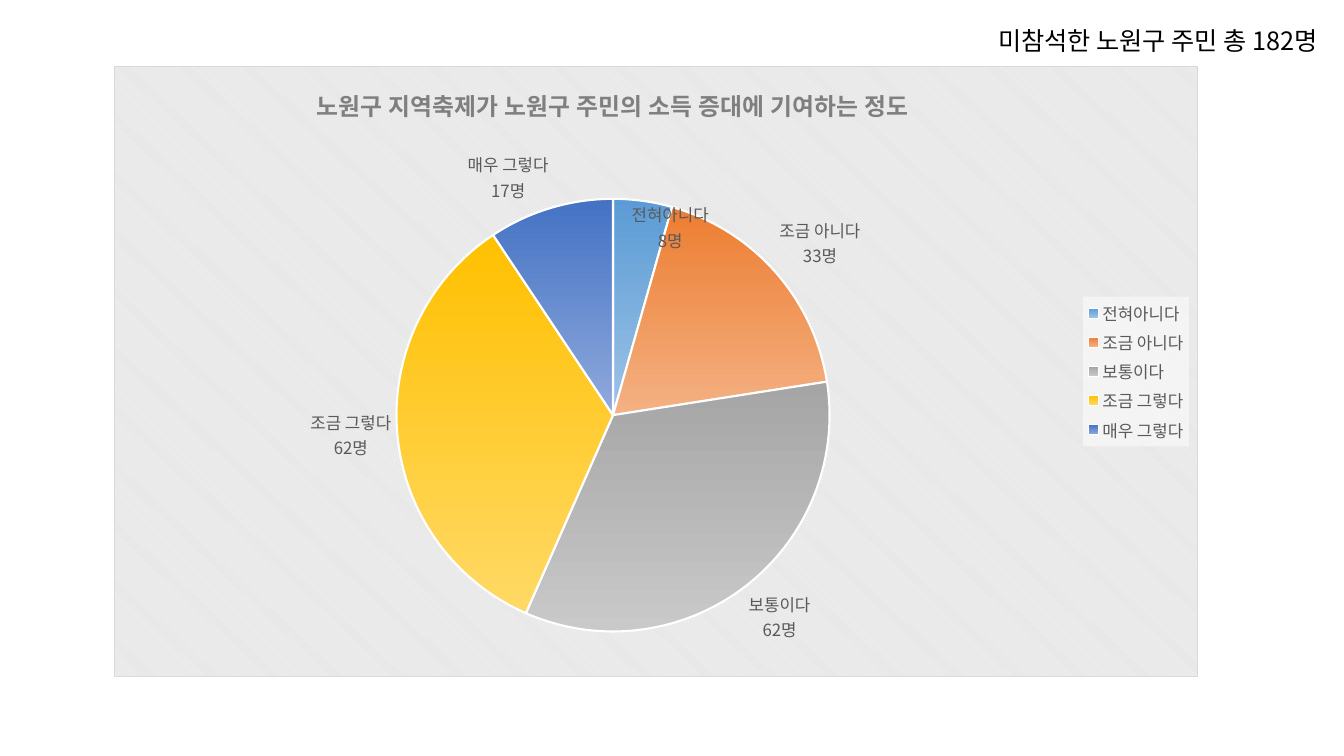
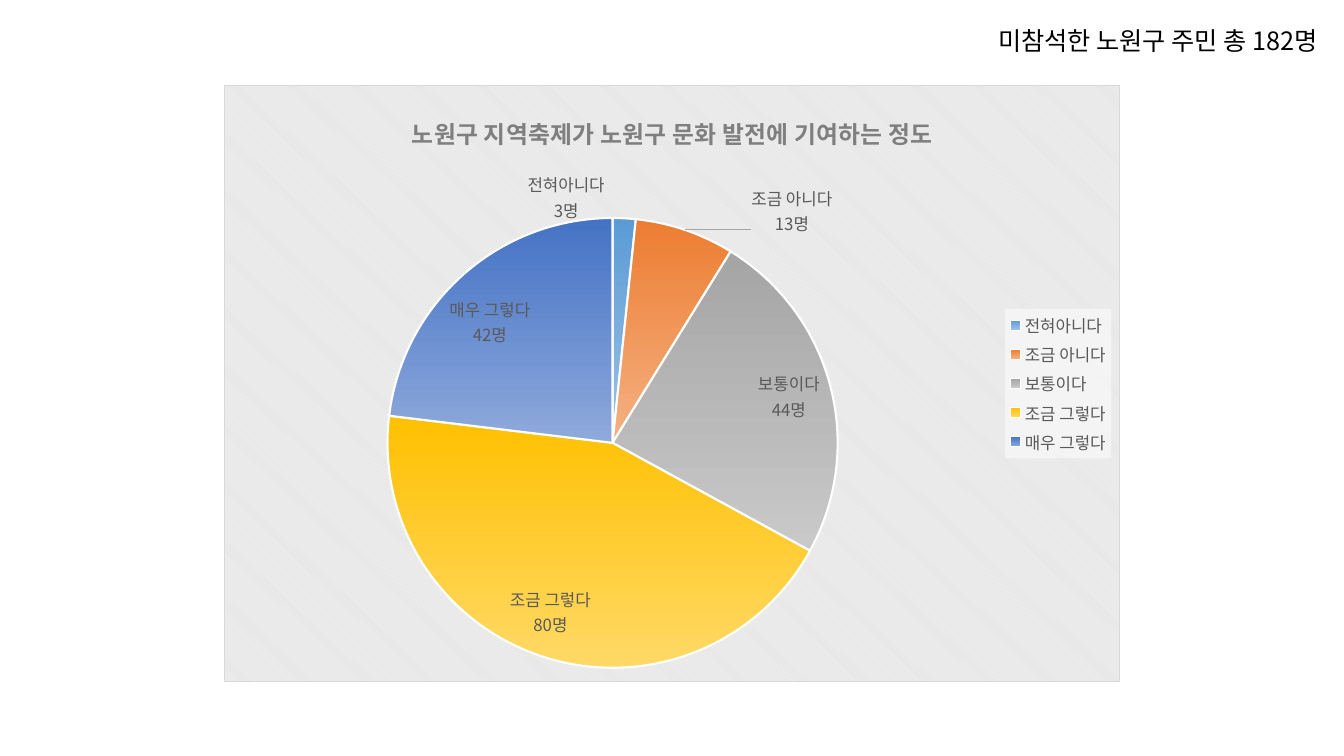
from dataclasses import dataclass

from lxml import etree
from pptx import Presentation
from pptx.chart.data import CategoryChartData
from pptx.dml.color import RGBColor as RGB
from pptx.enum.chart import XL_CHART_TYPE as ChartType
from pptx.enum.chart import XL_LABEL_POSITION as LabelPos
from pptx.enum.chart import XL_LEGEND_POSITION as LegendPos
from pptx.enum.text import MSO_AUTO_SIZE as AutoSize
from pptx.oxml import parse_xml
from pptx.oxml.ns import nsdecls, qn
from pptx.util import Inches, Pt


@dataclass(frozen=True)
class Theme:
    font: str = "Noto Sans CJK KR"
    black: str = "000000"
    white: str = "FFFFFF"
    title: str = "7F7F7F"
    label: str = "595959"
    border: str = "D9D9D9"
    leader: str = "A6A6A6"
    stripe: str = "E6E6E6"
    slices: tuple = (("5B9BD5", "9DC3E6"), ("ED7D31", "F4B183"), ("A5A5A5", "C9C9C9"),
                     ("FFC000", "FFD966"), ("4472C4", "8FAADC"))
    note_size: int = 18
    title_size: int = 17
    label_size: int = 12
    base_size: int = 10


T = Theme()
NOTE = "미참석한 노원구 주민 총 182명"
ANSWERS = ("전혀아니다", "조금 아니다", "보통이다", "조금 그렇다", "매우 그렇다")


@dataclass(frozen=True)
class Survey:
    title: str
    values: tuple
    frame: tuple        # left, top, width, height
    title_at: tuple     # left, top on the slide
    pie: tuple          # left, top, diameter on the slide
    label_pos: LabelPos
    label_shifts: dict  # answer index: (right, down)


SURVEYS = (
    Survey("노원구 지역축제가 노원구 주민의 소득 증대에 기여하는 정도", (8, 33, 62, 62, 17),
           (1.13, 0.65, 10.75, 6.07), (3.09, 0.79), (3.93, 1.97, 4.3),
           LabelPos.OUTSIDE_END, {0: (-0.12, 0.57)}),
    Survey("노원구 지역축제가 노원구 문화 발전에 기여하는 정도", (3, 13, 44, 80, 42),
           (2.22, 0.84, 8.89, 5.93), (4.04, 1.07), (3.84, 2.16, 4.47),
           LabelPos.BEST_FIT, {0: (-0.58, 0.1), 1: (0.64, 0.11)}),
)


def style_font(font, size, color, bold=False):
    font.size, font.bold, font.name = Pt(size), bold, T.font
    font.color.rgb = RGB.from_string(color)
    latin = font._element.find(qn("a:latin"))
    latin.addnext(parse_xml(f'<a:ea {nsdecls("a")} typeface="{T.font}"/>'))


def add_run(p, text, size, color, bold=False):
    r = p.add_run()
    r.text = text
    style_font(r.font, size, color, bold)


def shape_props(inner):
    return parse_xml(f'<c:spPr {nsdecls("c", "a")}>{inner}</c:spPr>')


def solid(color, extra=""):
    return f'<a:solidFill><a:srgbClr val="{color}">{extra}</a:srgbClr></a:solidFill>'


def set_layout(parent, index, **settings):
    """Give a chart part a manual layout; settings keep schema order."""
    for old in parent.findall(qn("c:layout")):
        parent.remove(old)
    layout = parse_xml(f'<c:layout {nsdecls("c")}><c:manualLayout/></c:layout>')
    for tag, value in settings.items():
        etree.SubElement(layout[0], qn(f"c:{tag}")).set("val", str(value))
    parent.insert(index, layout)


def add_note(slide):
    box = slide.shapes.add_textbox(Inches(9.8), Inches(0.2), Inches(3.75), Inches(0.4))
    tf = box.text_frame
    tf.word_wrap = False
    tf.auto_size = AutoSize.SHAPE_TO_FIT_TEXT
    add_run(tf.paragraphs[0], NOTE, T.note_size, T.black)


def style_chart_area(chart):
    area = shape_props(
        f'<a:pattFill prst="dkDnDiag"><a:fgClr><a:srgbClr val="{T.white}"/></a:fgClr>'
        f'<a:bgClr><a:srgbClr val="{T.stripe}"/></a:bgClr></a:pattFill>'
        f'<a:ln w="{Pt(0.75)}">{solid(T.border)}</a:ln>')
    chart._chartSpace.find(qn("c:chart")).addnext(area)


def add_title(chart, survey):
    left, top, width, height = survey.frame
    x, y = survey.title_at
    title = chart.chart_title
    add_run(title.text_frame.paragraphs[0], survey.title, T.title_size, T.title, True)
    set_layout(title._element, 1, xMode="edge", yMode="edge",
               x=(x - left) / width, y=(y - top) / height)


def add_legend(chart):
    chart.has_legend = True
    legend = chart.legend
    legend.position = LegendPos.RIGHT
    legend.include_in_layout = False
    style_font(legend.font, T.label_size, T.label)
    panel = shape_props(solid(T.white, '<a:alpha val="50000"/>'))
    legend._element.find(qn("c:overlay")).addnext(panel)


def style_slice(point, colors):
    fill = point.format.fill
    fill.gradient()
    fill.gradient_angle = 270
    for stop, position, color in zip(fill.gradient_stops, (0, 1), colors):
        stop.position = position
        stop.color.rgb = RGB.from_string(color)
    line = point.format.line
    line.color.rgb = RGB.from_string(T.white)
    line.width = Pt(1.5)


def label_slice(point, answer, count, survey, shift):
    label = point.data_label
    tf = label.text_frame
    add_run(tf.paragraphs[0], answer, T.label_size, T.label)
    add_run(tf.add_paragraph(), f"{count}명", T.label_size, T.label)
    label.position = survey.label_pos
    if shift:
        width, height = survey.frame[2:]
        set_layout(label._dLbl, 1, x=shift[0] / width, y=shift[1] / height)


def add_pie(slide, survey):
    data = CategoryChartData()
    data.categories = ANSWERS
    data.add_series("Series 1", survey.values)
    frame = [Inches(n) for n in survey.frame]
    chart = slide.shapes.add_chart(ChartType.PIE, *frame, data).chart
    style_font(chart.font, T.base_size, T.black)
    style_chart_area(chart)
    add_title(chart, survey)
    add_legend(chart)

    # Circle position inside the chart frame
    left, top, width, height = survey.frame
    x, y, diameter = survey.pie
    set_layout(chart._chartSpace.find(f".//{qn('c:plotArea')}"), 0,
               layoutTarget="inner", xMode="edge", yMode="edge",
               x=(x - left) / width, y=(y - top) / height,
               w=diameter / width, h=diameter / height)

    # Slices and their labels
    plot = chart.plots[0]
    plot.vary_by_categories = True
    series = plot.series[0]
    labels = series.data_labels
    labels.show_value = labels.show_category_name = True
    labels.position = survey.label_pos
    style_font(labels.font, T.label_size, T.label)
    for i, (answer, count) in enumerate(zip(ANSWERS, survey.values)):
        point = series.points[i]
        style_slice(point, T.slices[i])
        label_slice(point, answer, count, survey, survey.label_shifts.get(i))
    leader = parse_xml(f'<c:leaderLines {nsdecls("c")}/>')
    leader.append(shape_props(f'<a:ln w="{Pt(0.75)}">{solid(T.leader)}</a:ln>'))
    labels._element.append(leader)


def main():
    prs = Presentation()
    prs.slide_width, prs.slide_height = Inches(13.33), Inches(7.5)
    for survey in SURVEYS:
        s = prs.slides.add_slide(prs.slide_layouts[6])
        add_pie(s, survey)
        add_note(s)
    prs.save("out.pptx")


if __name__ == "__main__":
    main()
